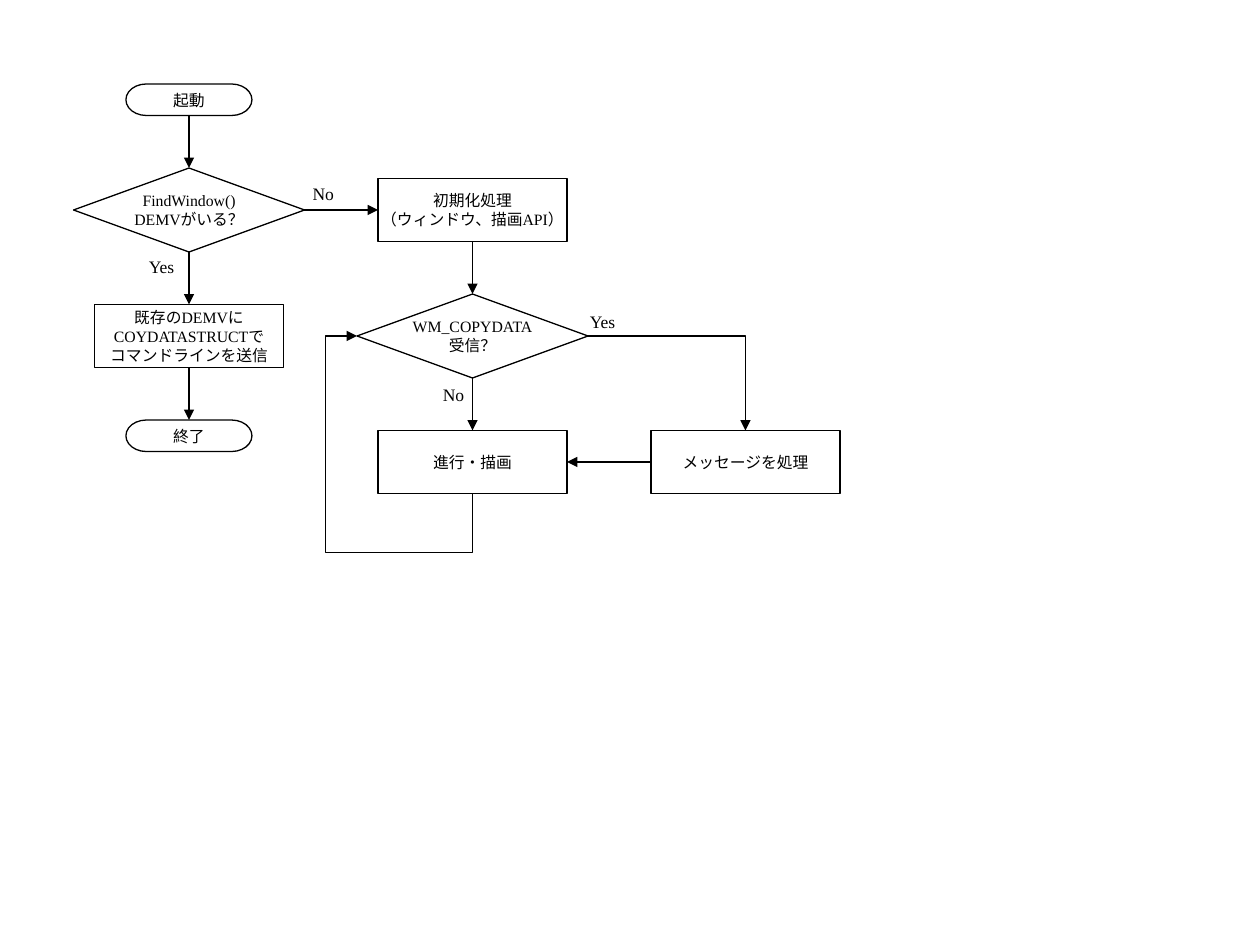
from dataclasses import dataclass

from lxml import etree
from pptx import Presentation, util as u
from pptx.dml.color import RGBColor
from pptx.enum import shapes, text
from pptx.oxml.ns import qn

# Grid: 120 columns by 90 rows on a 10 x 7.5 inch slide
WIDE, HIGH = u.Inches(10), u.Inches(7.5)
CELL = WIDE // 120
TOP, LEFT, BOTTOM, RIGHT = range(4)  # glue points of a node


@dataclass(frozen=True)
class Theme:
    ink: RGBColor = RGBColor(0, 0, 0)
    paper: RGBColor = RGBColor(255, 255, 255)
    font: str = "Times New Roman"
    node: u.Pt = u.Pt(9)
    label: u.Pt = u.Pt(10)
    line: u.Pt = u.Pt(0.75)


THEME = Theme()
KIND = shapes.MSO_SHAPE
LINK = shapes.MSO_CONNECTOR
# Preset and size in cells for each kind of node
ENDS = (KIND.FLOWCHART_TERMINATOR, 12, 3)
TEST = (KIND.FLOWCHART_DECISION, 22, 8)
STEP = (KIND.RECTANGLE, 18, 6)


def cells(*nums):
    return [round(n * CELL) for n in nums]


def write(frame, words, size, align):
    frame.word_wrap = False
    frame.text = words
    for para in frame.paragraphs:
        para.alignment = align
        para.font.name = THEME.font
        para.font.size = size
        para.font.color.rgb = THEME.ink


def node(slide, kind, x, y, words):
    """Flowchart symbol centred on column x, row y."""
    form, w, h = kind
    box = slide.shapes.add_shape(form, *cells(x - w / 2, y - h / 2, w, h))
    box.shadow.inherit = False
    box.fill.solid()
    box.fill.fore_color.rgb = THEME.paper
    box.line.color.rgb = THEME.ink
    box.line.width = THEME.line
    box.text_frame.vertical_anchor = text.MSO_ANCHOR.MIDDLE
    write(box.text_frame, words, THEME.node, text.PP_ALIGN.CENTER)
    return box


def label(slide, x, y, words):
    box = slide.shapes.add_textbox(*cells(x, y, 4.8, 3.2))
    box.text_frame.auto_size = text.MSO_AUTO_SIZE.SHAPE_TO_FIT_TEXT
    write(box.text_frame, words, THEME.label, text.PP_ALIGN.LEFT)


def arrow(slide, start, out, end, into, form=LINK.STRAIGHT):
    """Arrow glued to one side of each node."""
    link = slide.shapes.add_connector(form, 0, 0, 0, 0)
    link.begin_connect(start, out)
    link.end_connect(end, into)
    link.line.color.rgb = THEME.ink
    link.line.width = THEME.line
    etree.SubElement(link.line._get_or_add_ln(), qn("a:tailEnd"), type="triangle")
    etree.SubElement(link._element.spPr, qn("a:effectLst"))
    return link


def bend(link, preset, **adjust):
    """Choose the elbow preset and its adjustments."""
    geom = link._element.spPr.find(qn("a:prstGeom"))
    geom.set("prst", preset)
    guides = geom.find(qn("a:avLst"))
    for name, value in adjust.items():
        etree.SubElement(guides, qn("a:gd"), name=name, fmla=f"val {value}")


def loop(link):
    """Turn an elbow so that it leaves downwards and returns on the left."""
    w, h = link.width, link.height
    midx, midy = link.left + w // 2, link.top + h // 2
    link.left, link.top = midx - h // 2, midy - w // 2
    link.width, link.height = h, w
    frame = link._element.spPr.find(qn("a:xfrm"))
    frame.attrib.pop("flipH", None)
    frame.set("rot", str(270 * 60000))
    frame.set("flipV", "1")
    bend(link, "bentConnector4", adj1=-37300, adj2=127300)


def main():
    deck = Presentation()
    deck.slide_width, deck.slide_height = WIDE, HIGH
    slide = deck.slides.add_slide(deck.slide_layouts[6])

    # Start column: hand over to a running viewer
    one, two, three = 18, 45, 71
    start = node(slide, ENDS, one, 9.5, "起動")
    find = node(slide, TEST, one, 20, "FindWindow()\nDEMVがいる？")
    send = node(slide, STEP, one, 32,
                "既存のDEMVに\nCOYDATASTRUCTで\nコマンドラインを送信")
    stop = node(slide, ENDS, one, 41.5, "終了")

    # Main loop
    init = node(slide, STEP, two, 20, "初期化処理\n（ウィンドウ、描画API）")
    copy = node(slide, TEST, two, 32, "WM_COPYDATA\n受信？")
    draw = node(slide, STEP, two, 44, "進行・描画")
    work = node(slide, STEP, three, 44, "メッセージを処理")

    # Straight flow
    for upper, lower in ((start, find), (find, send), (send, stop),
                         (init, copy), (copy, draw)):
        arrow(slide, upper, BOTTOM, lower, TOP)
    arrow(slide, find, RIGHT, init, LEFT)
    arrow(slide, work, LEFT, draw, RIGHT)

    # Bent flow
    bend(arrow(slide, copy, RIGHT, work, TOP, LINK.ELBOW), "bentConnector2")
    loop(arrow(slide, draw, BOTTOM, copy, LEFT, LINK.ELBOW))

    # Branch labels
    for x, y, words in ((13, 23.8, "Yes"), (28.6, 16.8, "No"),
                        (41, 36, "No"), (55, 29, "Yes")):
        label(slide, x, y, words)

    deck.save("out.pptx")


if __name__ == "__main__":
    main()
